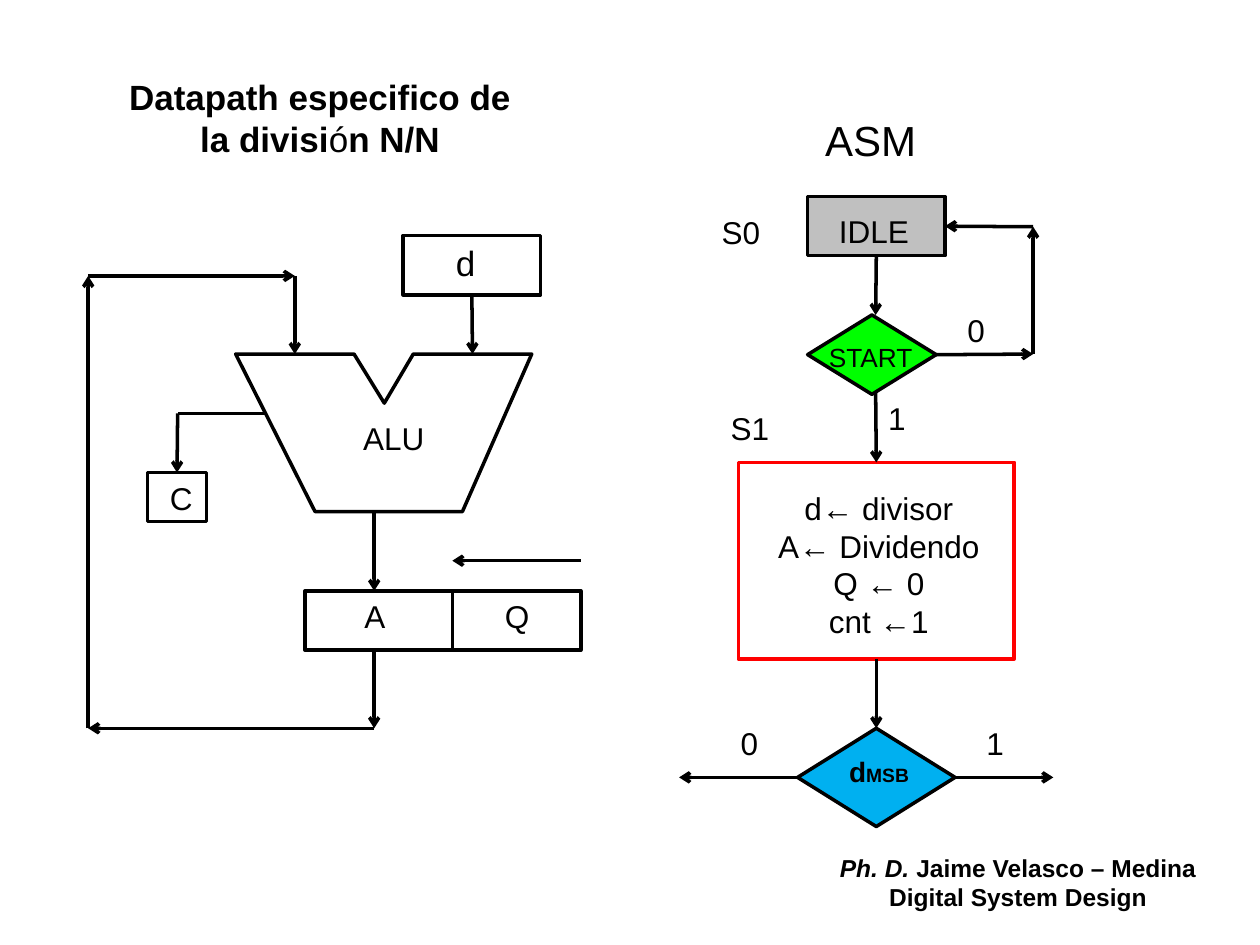
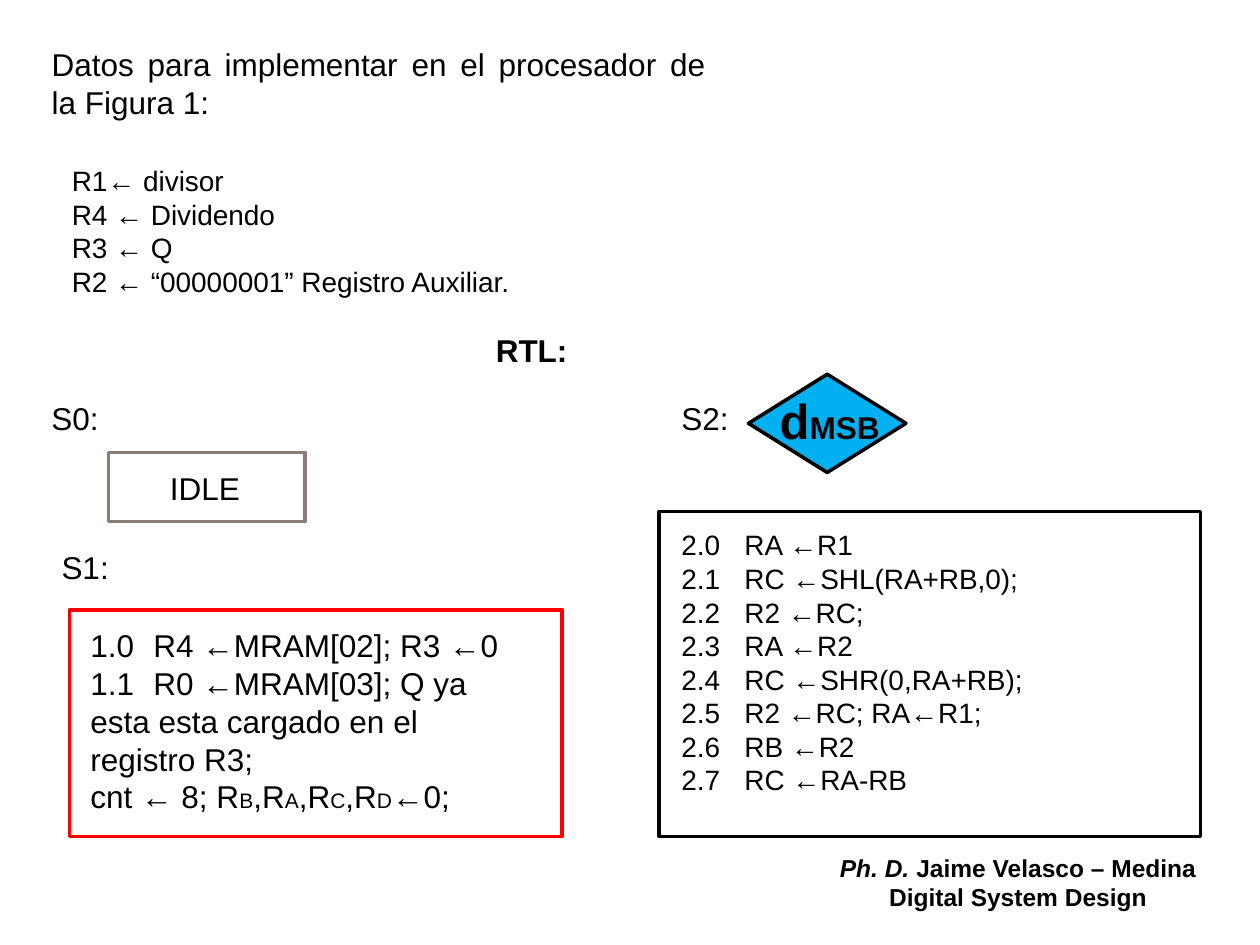
from dataclasses import dataclass
from itertools import pairwise
from typing import Any, NamedTuple

from lxml.etree import SubElement
from pptx import Presentation
from pptx.dml.color import RGBColor
from pptx.enum.shapes import MSO_CONNECTOR, MSO_SHAPE
from pptx.enum.text import MSO_ANCHOR, MSO_AUTO_SIZE, PP_ALIGN
from pptx.oxml.ns import qn
from pptx.util import Inches, Pt

BLACK = RGBColor(0x00, 0x00, 0x00)
GRAY = RGBColor(0xC0, 0xC0, 0xC0)
GREEN = RGBColor(0x00, 0xFF, 0x00)
BLUE = RGBColor(0x00, 0xB0, 0xF0)
RED = RGBColor(0xFF, 0x00, 0x00)
TAUPE = RGBColor(0x8B, 0x7D, 0x75)
FONT = "Arial"
LINE_WIDTH = Pt(2)
TOP, LEFT, BOTTOM, RIGHT = range(4)


class Side(NamedTuple):
    """The middle of one side of a shape."""
    shape: Any
    site: int


def write(frame, paragraphs, size=18, align=PP_ALIGN.LEFT, bold=False, tab=None):
    """Fill a text frame; a paragraph is a string or a list of (text, font settings)."""
    frame.word_wrap = True
    frame.auto_size = MSO_AUTO_SIZE.NONE
    frame.vertical_anchor = MSO_ANCHOR.TOP
    for index, content in enumerate(paragraphs):
        paragraph = frame.add_paragraph() if index else frame.paragraphs[0]
        paragraph.alignment = align
        paragraph.space_before = Pt(0)
        properties = paragraph._p.get_or_add_pPr()
        properties.set("marL", "0")
        properties.set("indent", "0")
        SubElement(properties, qn("a:buNone"))
        if tab:
            stops = SubElement(properties, qn("a:tabLst"))
            SubElement(stops, qn("a:tab"), pos=str(Inches(tab)), algn="l")
        font = paragraph.font
        font.name, font.size, font.bold = FONT, Pt(size), bold
        font.color.rgb = BLACK
        runs = [(content, {})] if isinstance(content, str) else content
        for text, settings in runs:
            run = paragraph.add_run()
            run.text = text
            for name, value in settings.items():
                setattr(run.font, name, value)


def fill_placeholder(placeholder, box, paragraphs, **style):
    """Move a placeholder to a box and write its text."""
    placeholder.left, placeholder.top, placeholder.width, placeholder.height = map(Inches, box)
    write(placeholder.text_frame, paragraphs, **style)


@dataclass
class Region:
    """A part of a slide whose contents are placed from its top left corner."""
    slide: Any
    left: float
    top: float

    def point(self, x, y):
        """Turn a place in the region into a place on the slide."""
        return Inches(self.left + x), Inches(self.top + y)

    def text(self, x, y, width, height, *paragraphs, **style):
        """Add a text box."""
        box = self.slide.shapes.add_textbox(*self.point(x, y), Inches(width), Inches(height))
        write(box.text_frame, paragraphs, **style)

    def label(self, x, y, text, width=0.63, **style):
        """Add a one-line label."""
        self.text(x, y, width, 0.4, text, **style)

    def outline(self, shape, fill=None, line=BLACK):
        """Give a shape its fill and line."""
        shape.shadow.inherit = False
        if fill is None:
            shape.fill.background()
        else:
            shape.fill.solid()
            shape.fill.fore_color.rgb = fill
        shape.line.color.rgb = line
        shape.line.width = LINE_WIDTH
        return shape

    def shape(self, x, y, width, height, kind=MSO_SHAPE.RECTANGLE, **colors):
        """Add a preset shape."""
        shape = self.slide.shapes.add_shape(
            kind, *self.point(x, y), Inches(width), Inches(height))
        return self.outline(shape, **colors)

    def polygon(self, points):
        """Add a closed outline."""
        start, *others = [self.point(*place) for place in points]
        builder = self.slide.shapes.build_freeform(*start, scale=1.0)
        builder.add_line_segments(others, close=True)
        return self.outline(builder.convert_to_shape())

    def connect(self, start, end, arrow=True):
        """Draw a straight connector between points or sides of shapes."""
        places = [(place.shape.left, place.shape.top) if isinstance(place, Side)
                  else self.point(*place) for place in (start, end)]
        connector = self.slide.shapes.add_connector(
            MSO_CONNECTOR.STRAIGHT, *places[0], *places[1])
        if isinstance(start, Side):
            connector.begin_connect(*start)
        if isinstance(end, Side):
            connector.end_connect(*end)
        connector.line.color.rgb = BLACK
        connector.line.width = LINE_WIDTH
        if arrow:
            SubElement(connector.line._get_or_add_ln(), qn("a:tailEnd"), type="arrow")
        SubElement(connector._element.spPr, qn("a:effectLst"))

    def sign_test(self, x, y, text_x, text_y, size, small):
        """Add the decision on the sign bit of d."""
        diamond = self.shape(x, y, 1.25, 0.78, MSO_SHAPE.DIAMOND, fill=BLUE)
        self.text(x + text_x, y + text_y, 1.1, 0.57,
                  [("d", {}), ("MSB", {"size": Pt(small)})], size=size, bold=True)
        return diamond


def add_footer(slide):
    """Add the author and course lines."""
    author = [("Ph. D. ", {"italic": True}), ("Jaime Velasco – Medina", {})]
    Region(slide, 6.44, 6.72).text(
        0, 0, 3.28, 0.63, author, "Digital System Design",
        size=14, align=PP_ALIGN.CENTER, bold=True)


def add_datapath(slide, left, top):
    """Draw the registers, the ALU and the feedback path."""
    region = Region(slide, left, top)
    divisor = region.shape(2.5, 0, 1.09, 0.47)
    carry = region.shape(0.47, 1.88, 0.47, 0.39)
    region.shape(1.72, 2.82, 1.17, 0.47)
    region.shape(2.89, 2.82, 1.02, 0.47)
    region.polygon([(1.17, 0.94), (2.11, 0.94), (2.35, 1.33), (2.58, 0.94),
                    (3.52, 0.94), (2.97, 2.19), (1.8, 2.19)])
    region.connect(Side(divisor, BOTTOM), (3.05, 0.94))
    region.connect((1.41, 1.41), (0.71, 1.41), arrow=False)
    region.connect((0.71, 1.41), Side(carry, TOP))
    region.connect((2.27, 2.19), (2.27, 2.82))
    region.connect((3.91, 2.58), (2.89, 2.58))
    feedback = [(2.27, 3.29), (2.27, 3.91), (0, 3.91), (0, 0.32), (1.64, 0.32), (1.64, 0.94)]
    for start, end in pairwise(feedback):
        region.connect(start, end)
    region.label(2.82, 0, "d", size=20)
    region.label(1.96, 2.82, "A", align=PP_ALIGN.CENTER)
    region.label(3.21, 2.82, "Q")
    region.label(1.88, 1.41, "ALU", width=1.09, align=PP_ALIGN.CENTER)
    region.label(0.55, 1.88, "C")


def add_state_chart(slide, left, top):
    """Draw the ASM chart with its states and decisions."""
    region = Region(slide, left, top)
    region.text(0.31, 0, 2.42, 0.5, "ASM", size=24, align=PP_ALIGN.CENTER)
    idle = region.shape(1.02, 0.7, 1.09, 0.47, fill=GRAY)
    region.label(1.17, 0.77, "IDLE", width=0.78)
    start = region.shape(1.02, 1.64, 1.02, 0.63, MSO_SHAPE.DIAMOND, fill=GREEN)
    region.label(1.09, 1.8, "START", width=0.94, size=15)
    load = region.shape(0.47, 2.81, 2.19, 1.56, line=RED)
    region.text(0.49, 2.97, 2.19, 1.31, "d← divisor", "A← Dividendo", "Q ← 0", "cnt ←1",
                align=PP_ALIGN.CENTER)
    sign = region.sign_test(0.94, 4.92, 0.31, 0.16, 16, 11)
    links = [
        (Side(idle, BOTTOM), (1.56, 1.64)),
        ((1.56, 2.26), Side(load, TOP)),
        (Side(load, BOTTOM), Side(sign, TOP)),
        (Side(sign, RIGHT), (2.97, 5.31)),
        (Side(sign, LEFT), (0, 5.31)),
        (Side(start, RIGHT), (2.81, 1.95)),
        ((2.81, 1.95), (2.81, 0.94)),
        ((2.81, 0.94), Side(idle, RIGHT)),
    ]
    for begin, end in links:
        region.connect(begin, end)
    labels = [(0.24, 0.78, "S0"), (0.31, 2.34, "S1"), (2.19, 1.56, "0"),
              (1.56, 2.26, "1"), (0.39, 4.84, "0"), (2.34, 4.84, "1")]
    for x, y, text in labels:
        region.label(x, y, text)


def add_first_states(slide, left, top):
    """Show states S0 and S1 with their register transfers."""
    region = Region(slide, left, top)
    region.label(0, 0, "S0:")
    region.shape(0.55, 0.47, 1.56, 0.55, line=TAUPE)
    region.label(0.94, 0.55, "IDLE", width=0.8)
    region.label(0.08, 1.18, "S1:", width=0.7)
    region.shape(0.24, 1.72, 3.91, 1.8, line=RED)
    clear = [("cnt ← 8; R", {})]
    for register, following in zip("BCAD".replace("CA", "AC"), (",R", ",R", ",R", "←0;")):
        clear += [(register, {"size": Pt(12)}), (following, {})]
    region.text(0.31, 1.8, 3.67, 1.62,
                "1.0\tR4 ←MRAM[02]; R3 ←0",
                "1.1\tR0 ←MRAM[03]; Q ya esta esta cargado en el registro R3;",
                clear, tab=0.49)


def add_division_state(slide, left, top):
    """Show state S2 with its decision and numbered transfers."""
    region = Region(slide, left, top)
    region.label(0.08, 0.15, "S2:", width=0.7)
    region.sign_test(0.71, 0, 0.15, 0.08, 28, 18)
    region.shape(0, 1.09, 4.3, 2.58)
    transfers = ["RA ←R1", "RC ←SHL(RA+RB,0);", "R2 ←RC;", "RA ←R2",
                 "RC ←SHR(0,RA+RB);", "R2 ←RC; RA←R1;", "RB ←R2", "RC ←RA-RB"]
    region.text(0.08, 1.17, 4.17, 2.52,
                *[f"2.{step}\t{transfer}" for step, transfer in enumerate(transfers)],
                size=16, tab=0.43)


def build_diagram_slide(presentation):
    """Build the slide with the datapath and the ASM chart."""
    slide = presentation.slides.add_slide(presentation.slide_layouts[5])
    heading = [("Datapath especifico de la divisi", {}), ("ó", {"bold": False}), ("n N/N", {})]
    fill_placeholder(slide.shapes.title, (0.78, 0.55, 3.52, 1.01), [heading],
                     size=20, align=PP_ALIGN.CENTER, bold=True)
    add_datapath(slide, 0.7, 1.87)
    add_state_chart(slide, 5.39, 0.86)
    add_footer(slide)


def build_transfer_slide(presentation):
    """Build the slide with the register data and the RTL steps."""
    slide = presentation.slides.add_slide(presentation.slide_layouts[1])
    fill_placeholder(slide.shapes.title, (0.31, 0.31, 5.39, 0.71),
                     ["Datos para implementar en el procesador de la Figura 1:"],
                     align=PP_ALIGN.JUSTIFY)
    fill_placeholder(slide.placeholders[1], (0.47, 1.25, 4.61, 1.18),
                     ["R1← divisor", "R4 ← Dividendo", "R3 ← Q",
                      "R2 ← “00000001” Registro Auxiliar."], size=16)
    Region(slide, 3.79, 2.58).label(0, 0, "RTL:", width=0.86, align=PP_ALIGN.CENTER, bold=True)
    add_first_states(slide, 0.31, 3.12)
    add_division_state(slide, 5.23, 2.97)
    add_footer(slide)


def main():
    """Build and save the presentation."""
    presentation = Presentation()
    presentation.slide_width, presentation.slide_height = Inches(10), Inches(7.5)
    build_diagram_slide(presentation)
    build_transfer_slide(presentation)
    presentation.save("out.pptx")


if __name__ == "__main__":
    main()
